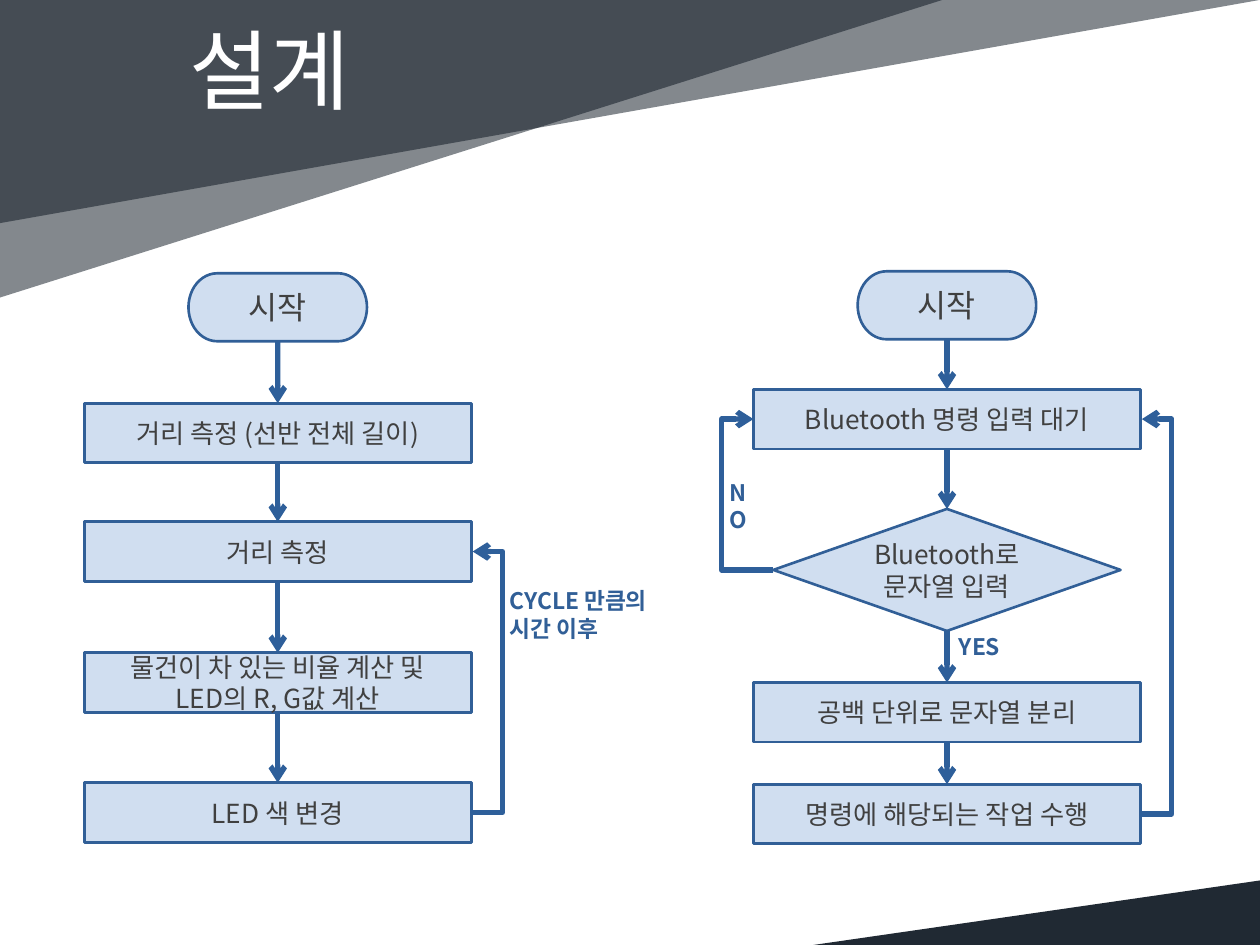
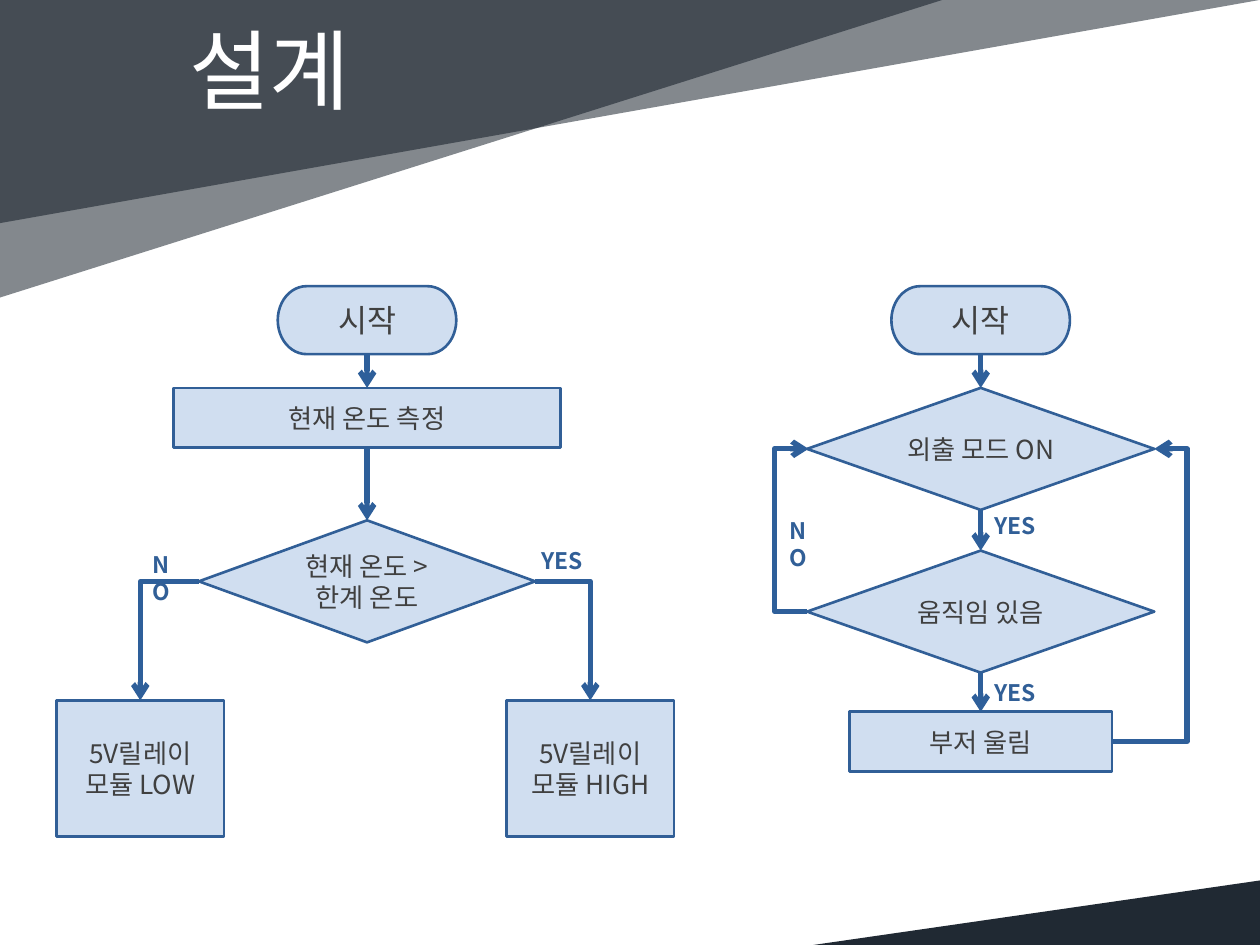
from copy import deepcopy
from itertools import pairwise

from lxml import etree
from pptx import Presentation
from pptx.dml.color import RGBColor
from pptx.enum.shapes import MSO_CONNECTOR, MSO_SHAPE
from pptx.enum.text import MSO_ANCHOR, PP_ALIGN
from pptx.oxml.ns import qn
from pptx.util import Cm, Pt

STRAIGHT, ELBOW = MSO_CONNECTOR.STRAIGHT, MSO_CONNECTOR.ELBOW
TRIANGLE = MSO_SHAPE.RIGHT_TRIANGLE
START = MSO_SHAPE.FLOWCHART_TERMINATOR
PROCESS = MSO_SHAPE.FLOWCHART_PROCESS
DECISION = MSO_SHAPE.FLOWCHART_DECISION
MIDDLE, TOP = MSO_ANCHOR.MIDDLE, MSO_ANCHOR.TOP
CENTER, LEFT = PP_ALIGN.CENTER, PP_ALIGN.LEFT

FONT = "Noto Sans CJK KR"
NAVY, PALE, OUTLINE, ARROW = "08121D", "D0DEF0", "315F97", "2E5F9A"
TITLE_FORMAT = {"size": Pt(50), "color": "FFFFFF"}
START_FORMAT = {"size": Pt(18), "color": "404040"}
STEP_FORMAT = {"size": Pt(15), "color": "404040"}
LABEL_FORMAT = {"size": Pt(13), "color": OUTLINE, "bold": True}
SIZES = {START: (3.6, 1.37), PROCESS: (7.8, 1.2), DECISION: (7, 2.46)}
LABEL_SIZES = {"YES": (1.5, 0.8), "NO": (1.15, 1.4)}


def rgb(value):
    """Turn a hex string into a colour."""
    return RGBColor.from_string(value)


class FlowDeck:
    """Draw flowchart slides in one shared style."""

    def __init__(self):
        """Start an empty 4:3 presentation."""
        self.deck = Presentation()
        self.deck.slide_width, self.deck.slide_height = Cm(25.4), Cm(19.05)
        self.shapes = None

    def slide(self, title):
        """Add a slide with its corner bands and title."""
        self.shapes = self.deck.slides.add_slide(self.deck.slide_layouts[6]).shapes
        self.band(0, 0, 19, 6, "flipV", 50)
        self.band(0, 0, 25.4, 4.5, "flipV", 50)
        self.text(title, 0.1, 0.18, 10.67, 2.39, TITLE_FORMAT, CENTER, MIDDLE)
        self.band(16.4, 17.75, 9, 1.3, "flipH", 90)

    def band(self, left, top, width, height, flip, opacity):
        """Draw a translucent triangle in a slide corner."""
        band = self.shapes.add_shape(TRIANGLE, Cm(left), Cm(top), Cm(width), Cm(height))
        band.shadow.inherit = False
        band.fill.solid()
        band.fill.fore_color.rgb = rgb(NAVY)
        band.line.fill.background()
        properties = band._element.spPr
        properties.find(qn("a:xfrm")).set(flip, "1")
        tint = properties.find(qn("a:solidFill"))[0]
        etree.SubElement(tint, qn("a:alpha"), val=str(opacity * 1000))

    def fill_text(self, frame, text, style, align):
        """Fill a text frame and format its runs and line breaks."""
        frame.word_wrap = True
        frame.text = text
        for paragraph in frame.paragraphs:
            paragraph.alignment = align
            for run in paragraph.runs:
                for name, value in style.items():
                    if name == "color":
                        run.font.color.rgb = rgb(value)
                    else:
                        setattr(run.font, name, value)
                run.font.name = FONT
                etree.SubElement(run._r.rPr, qn("a:ea"), typeface=FONT)
            for line_break in paragraph._p.findall(qn("a:br")):
                line_break.append(deepcopy(paragraph.runs[0]._r.rPr))

    def text(self, text, left, top, width, height, style, align=LEFT, anchor=TOP):
        """Add a text box."""
        box = self.shapes.add_textbox(Cm(left), Cm(top), Cm(width), Cm(height))
        box.text_frame.vertical_anchor = anchor
        self.fill_text(box.text_frame, text, style, align)

    def answer(self, text, left, top):
        """Label a branch of a decision."""
        self.text(text, left, top, *LABEL_SIZES[text], LABEL_FORMAT)

    def step(self, kind, text, center, top, size=None):
        """Add a flowchart step centred on a column."""
        width, height = size or SIZES[kind]
        step = self.shapes.add_shape(
            kind, Cm(center - width / 2), Cm(top), Cm(width), Cm(height))
        step.shadow.inherit = False
        step.fill.solid()
        step.fill.fore_color.rgb = rgb(PALE)
        step.line.color.rgb = rgb(OUTLINE)
        step.line.width = Pt(1.5)
        style = START_FORMAT if kind == START else STEP_FORMAT
        self.fill_text(step.text_frame, text, style, CENTER)
        return step

    def column(self, center, *rows):
        """Stack steps in a column and join each to the next."""
        steps = [self.step(kind, text, center, *place) for kind, text, *place in rows]
        for upper, lower in pairwise(steps):
            arrow = self.arrow(STRAIGHT, 0, 0, 0, 0)
            arrow.begin_connect(upper, 2)
            arrow.end_connect(lower, 0)
        return steps

    def arrow(self, kind, *ends):
        """Add a connector with an arrowhead at its end."""
        arrow = self.shapes.add_connector(kind, *ends)
        arrow.line.color.rgb = rgb(ARROW)
        arrow.line.width = Pt(3)
        properties = arrow._element.spPr
        etree.SubElement(properties.find(qn("a:ln")), qn("a:tailEnd"), type="arrow")
        etree.SubElement(properties, qn("a:effectLst"))
        return arrow

    def loop(self, source, target, lane):
        """Return from one step to an earlier one through a side lane."""
        lane = Cm(lane)
        on_right = lane > source.left
        begin, end = (step.left + on_right * step.width for step in (source, target))
        if begin == end:
            end += Cm(0.03)
        arrow = self.arrow(ELBOW, begin, source.top + source.height // 2,
                           end, target.top + target.height // 2)
        arrow_bend = arrow._element.spPr.find(qn("a:prstGeom")).find(qn("a:avLst"))
        ratio = round((lane - begin) / (end - begin) * 100000)
        etree.SubElement(arrow_bend, qn("a:gd"), name="adj1", fmla=f"val {ratio}")

    def branch(self, decision, target):
        """Lead from a side of a decision down to a step."""
        on_right = target.left > decision.left
        arrow = self.arrow(ELBOW, decision.left + on_right * decision.width,
                           decision.top + decision.height // 2,
                           target.left + target.width // 2, target.top)
        arrow._element.spPr.find(qn("a:prstGeom")).set("prst", "bentConnector2")


def main():
    """Build both design slides."""
    flow = FlowDeck()

    flow.slide("설계")
    _, _, measure, _, recolor = flow.column(
        5.6,
        (START, "시작", 5.51),
        (PROCESS, "거리 측정 (선반 전체 길이)", 8.13),
        (PROCESS, "거리 측정", 10.52),
        (PROCESS, "물건이 차 있는 비율 계산 및\nLED의 R, G값 계산", 13.16),
        (PROCESS, "LED 색 변경", 15.78))
    flow.loop(recolor, measure, 10.13)
    flow.text("CYCLE 만큼의\n시간 이후", 10.03, 11.71, 3.48, 1.37, LABEL_FORMAT)

    _, wait, is_string, _, execute = flow.column(
        19.09,
        (START, "시작", 5.47),
        (PROCESS, "Bluetooth 명령 입력 대기", 7.85),
        (DECISION, "Bluetooth로\v문자열 입력", 10.26),
        (PROCESS, "공백 단위로 문자열 분리", 13.76),
        (PROCESS, "명령에 해당되는 작업 수행", 15.81))
    flow.loop(is_string, wait, 14.55)
    flow.loop(execute, wait, 23.62)
    flow.answer("YES", 19.08, 12.62)
    flow.answer("NO", 14.45, 9.52)

    flow.slide("설계")
    _, _, is_hot = flow.column(
        7.4,
        (START, "시작", 5.77),
        (PROCESS, "현재 온도 측정", 7.82),
        (DECISION, "현재 온도 > 한계 온도", 10.49, (6.78, 2.46)))
    for level, center in (("LOW", 2.83), ("HIGH", 11.9)):
        relay = flow.step(PROCESS, f"5V릴레이\v모듈 {level}", center, 14.12, (3.38, 2.74))
        flow.branch(is_hot, relay)
    flow.answer("NO", 2.82, 10.97)
    flow.answer("YES", 10.67, 10.9)

    _, away, motion, buzzer = flow.column(
        19.77,
        (START, "시작", 5.77),
        (DECISION, "외출 모드 ON", 7.82),
        (DECISION, "움직임 있음", 11.1),
        (PROCESS, "부저 울림", 14.35, (5.3, 1.2)))
    flow.loop(buzzer, away, 23.93)
    flow.loop(motion, away, 15.62)
    for top in (10.19, 13.56):
        flow.answer("YES", 19.79, top)
    flow.answer("NO", 15.67, 10.29)

    flow.deck.save("out.pptx")


if __name__ == "__main__":
    main()
